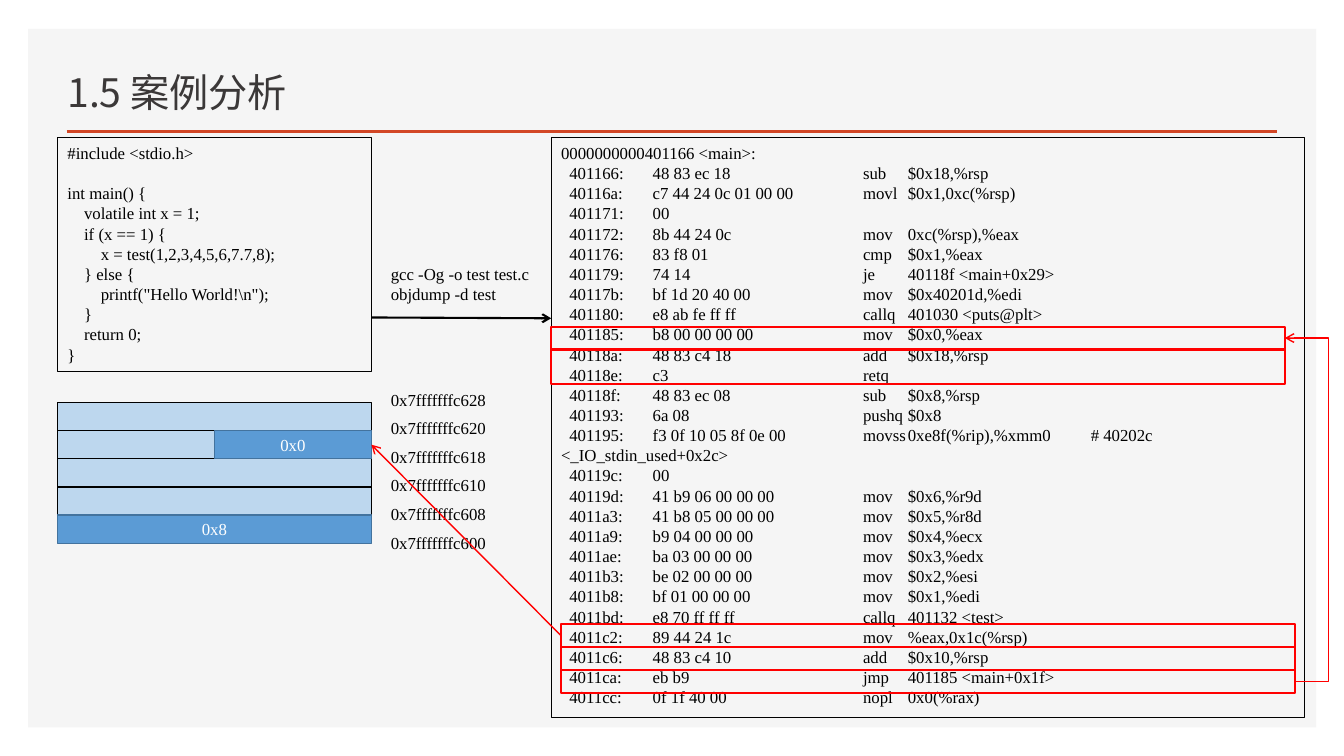
from pptx import Presentation
from pptx.dml.color import RGBColor
from pptx.enum.shapes import MSO_CONNECTOR, MSO_SHAPE
from pptx.enum.text import MSO_ANCHOR, PP_ALIGN
from pptx.oxml.ns import qn
from pptx.util import Cm, Pt
from lxml import etree

RECTANGLE = MSO_SHAPE.RECTANGLE
STRAIGHT, ELBOW = MSO_CONNECTOR.STRAIGHT, MSO_CONNECTOR.ELBOW
TOP, MIDDLE, BOTTOM = MSO_ANCHOR.TOP, MSO_ANCHOR.MIDDLE, MSO_ANCHOR.BOTTOM
LEFT, CENTER = PP_ALIGN.LEFT, PP_ALIGN.CENTER
LEFT_SIDE, RIGHT_SIDE = 1, 3

BLACK = RGBColor(0x00, 0x00, 0x00)
WHITE = RGBColor(0xFF, 0xFF, 0xFF)
RED = RGBColor(0xFF, 0x00, 0x00)
PANEL_GRAY = RGBColor(0xF5, 0xF5, 0xF5)
TITLE_GRAY = RGBColor(0x3B, 0x38, 0x38)
RULE_ORANGE = RGBColor(0xD2, 0x47, 0x26)
FREE_BLUE = RGBColor(0xBD, 0xD7, 0xEE)
USED_BLUE = RGBColor(0x5B, 0x9B, 0xD5)
USED_EDGE = RGBColor(0x43, 0x73, 0x9E)

CODE_FONT = "Times New Roman"
TITLE_FONT = "Noto Sans CJK SC"

SOURCE = [
    (0, "#include <stdio.h>"),
    (0, "int main() {"),
    (1, "volatile int x = 1;"),
    (1, "if (x == 1) {"),
    (2, "x = test(1,2,3,4,5,6,7.7,8);"),
    (1, "} else {"),
    (2, r'printf("Hello World!\n");'),
    (1, "}"),
    (1, "return 0;"),
    (0, "}"),
]
LISTING = [
    ("401166:", "48 83 ec 18", "sub", "$0x18,%rsp"),
    ("40116a:", "c7 44 24 0c 01 00 00", "movl", "$0x1,0xc(%rsp)"),
    ("401171:", "00"),
    ("401172:", "8b 44 24 0c", "mov", "0xc(%rsp),%eax"),
    ("401176:", "83 f8 01", "cmp", "$0x1,%eax"),
    ("401179:", "74 14", "je", "40118f <main+0x29>"),
    ("40117b:", "bf 1d 20 40 00", "mov", "$0x40201d,%edi"),
    ("401180:", "e8 ab fe ff ff", "callq", "401030 <puts@plt>"),
    ("401185:", "b8 00 00 00 00", "mov", "$0x0,%eax"),
    ("40118a:", "48 83 c4 18", "add", "$0x18,%rsp"),
    ("40118e:", "c3", "retq"),
    ("40118f:", "48 83 ec 08", "sub", "$0x8,%rsp"),
    ("401193:", "6a 08", "pushq", "$0x8"),
    ("401195:", "f3 0f 10 05 8f 0e 00", "movss", "0xe8f(%rip),%xmm0",
     "# 40202c <_IO_stdin_used+0x2c>"),
    ("40119c:", "00"),
    ("40119d:", "41 b9 06 00 00 00", "mov", "$0x6,%r9d"),
    ("4011a3:", "41 b8 05 00 00 00", "mov", "$0x5,%r8d"),
    ("4011a9:", "b9 04 00 00 00", "mov", "$0x4,%ecx"),
    ("4011ae:", "ba 03 00 00 00", "mov", "$0x3,%edx"),
    ("4011b3:", "be 02 00 00 00", "mov", "$0x2,%esi"),
    ("4011b8:", "bf 01 00 00 00", "mov", "$0x1,%edi"),
    ("4011bd:", "e8 70 ff ff ff", "callq", "401132 <test>"),
    ("4011c2:", "89 44 24 1c", "mov", "%eax,0x1c(%rsp)"),
    ("4011c6:", "48 83 c4 10", "add", "$0x10,%rsp"),
    ("4011ca:", "eb b9", "jmp", "401185 <main+0x1f>"),
    ("4011cc:", "0f 1f 40 00", "nopl", "0x0(%rax)"),
]
LISTING_TABS = (0.21, 2.31, 7.61, 8.74, 13.35)
STACK_ADDRESSES = ["0x7fffffffc628", "0x7fffffffc620", "0x7fffffffc618",
                   "0x7fffffffc610", "0x7fffffffc608", "0x7fffffffc600"]


def write(shape, lines, size=12, font=CODE_FONT, color=BLACK, align=LEFT, anchor=TOP):
    frame = shape.text_frame
    frame.word_wrap = True
    frame.vertical_anchor = anchor
    for number, line in enumerate(lines):
        paragraph = frame.add_paragraph() if number else frame.paragraphs[0]
        paragraph.alignment = align
        run = paragraph.add_run()
        run.text = line
        run.font.size = Pt(size)
        run.font.name = font
        run.font.color.rgb = color
        east_asian = etree.SubElement(run.font._element, qn("a:ea"))
        east_asian.set("typeface", font)
    return frame.paragraphs


def add_label(slide, lines, left, top, width, height, **text_format):
    label = slide.shapes.add_textbox(Cm(left), Cm(top), Cm(width), Cm(height))
    write(label, lines, **text_format)


def add_box(slide, left, top, width, height, fill=None, line=None, weight=1):
    box = slide.shapes.add_shape(RECTANGLE, Cm(left), Cm(top), Cm(width), Cm(height))
    box.shadow.inherit = False
    if fill is None:
        box.fill.background()
    else:
        box.fill.solid()
        box.fill.fore_color.rgb = fill
    if line is None:
        box.line.fill.background()
    else:
        box.line.color.rgb = line
        box.line.width = Pt(weight)
    return box


def add_line(slide, start=(0, 0), end=(0, 0), color=RED, weight=1, kind=STRAIGHT,
             arrow=True, joins=None):
    points = [Cm(value) for value in (*start, *end)]
    connector = slide.shapes.add_connector(kind, *points)
    if joins:
        (origin, origin_side), (target, target_side) = joins
        connector.begin_connect(origin, origin_side)
        connector.end_connect(target, target_side)
    connector.line.color.rgb = color
    connector.line.width = Pt(weight)
    if arrow:
        etree.SubElement(connector.line._get_or_add_ln(), qn("a:tailEnd")).set("type", "arrow")
    etree.SubElement(connector._element.spPr, qn("a:effectLst"))
    return connector


def bend_at(connector, x):
    share = (Cm(x) - connector.begin_x) / (connector.end_x - connector.begin_x)
    geometry = connector._element.spPr.find(qn("a:prstGeom"))
    guides = geometry.find(qn("a:avLst"))
    guide = etree.SubElement(guides, qn("a:gd"))
    guide.set("name", "adj1")
    guide.set("fmla", f"val {round(share * 100000)}")


def add_source(slide):
    source = add_box(slide, 1.45, 3.47, 7.91, 5.89, line=BLACK, weight=0.75)
    paragraphs = write(source, [text for _, text in SOURCE])
    for paragraph, (level, _) in zip(paragraphs, SOURCE):
        paragraph._p.get_or_add_pPr().set("marL", str(Cm(0.42 * level)))
    paragraphs[1].space_before = Pt(14.4)


def add_listing(slide):
    listing = add_box(slide, 13.89, 3.47, 18.98, 14.61, line=BLACK, weight=0.75)
    tab = chr(9)
    rows = [tab + tab.join(row) for row in LISTING]
    paragraphs = write(listing, ["0000000000401166 <main>:", *rows])
    for paragraph in paragraphs[1:]:
        properties = paragraph._p.get_or_add_pPr()
        tab_list = etree.SubElement(properties, qn("a:tabLst"))
        for position in LISTING_TABS:
            stop = etree.SubElement(tab_list, qn("a:tab"))
            stop.set("pos", str(Cm(position)))
            stop.set("algn", "l")


def add_used_cell(slide, value, left, top, width, height):
    cell = add_box(slide, left, top, width, height, fill=USED_BLUE, line=USED_EDGE)
    write(cell, [value], color=WHITE, align=CENTER, anchor=MIDDLE)
    return cell


def add_stack(slide):
    left, top, width, row = 1.45, 10.14, 7.91, 0.71
    for number in range(4):
        add_box(slide, left, top + number * row, width, row, fill=FREE_BLUE, line=BLACK)
    add_used_cell(slide, "0x8", left, top + 4 * row, width, row)
    for number, address in enumerate(STACK_ADDRESSES):
        add_label(slide, [address], 9.6, 9.69 + number * 0.72, 2.95, 0.76)
    return add_used_cell(slide, "0x0", left + width / 2, top + row, width / 2, row)


def add_frame(slide, left, top, height):
    return add_box(slide, left, top, 18.49, height, line=RED, weight=1.5)


def main():
    presentation = Presentation()
    presentation.slide_width, presentation.slide_height = Cm(33.87), Cm(19.05)
    slide = presentation.slides.add_slide(presentation.slide_layouts[6])

    add_box(slide, 0.71, 0.73, 32.46, 17.6, fill=PANEL_GRAY)
    add_line(slide, (1.68, 3.31), (32.18, 3.31), RULE_ORANGE, 2, arrow=False)
    add_label(slide, ["1.5 案例分析"], 1.45, 1.25, 19.1, 1.78,
              size=28, font=TITLE_FONT, color=TITLE_GRAY, anchor=BOTTOM)

    add_source(slide)
    add_listing(slide)
    add_label(slide, ["gcc -Og -o test test.c", "objdump -d test"], 9.6, 6.52, 4.2, 1.27)
    add_line(slide, (9.36, 8), (13.89, 8.02), BLACK, 1.5)
    result_cell = add_stack(slide)

    store, release, jump = [add_frame(slide, 14.14, 15.73 + step * 0.58, 0.58)
                            for step in range(3)]
    jump_target = add_frame(slide, 13.89, 8.23, 0.58)
    add_frame(slide, 13.89, 8.81, 0.86)
    add_line(slide, joins=((store, LEFT_SIDE), (result_cell, RIGHT_SIDE)))
    jump_back = add_line(slide, kind=ELBOW,
                         joins=((jump, RIGHT_SIDE), (jump_target, RIGHT_SIDE)))
    bend_at(jump_back, 33.48)
    presentation.save("out.pptx")


if __name__ == "__main__":
    main()
